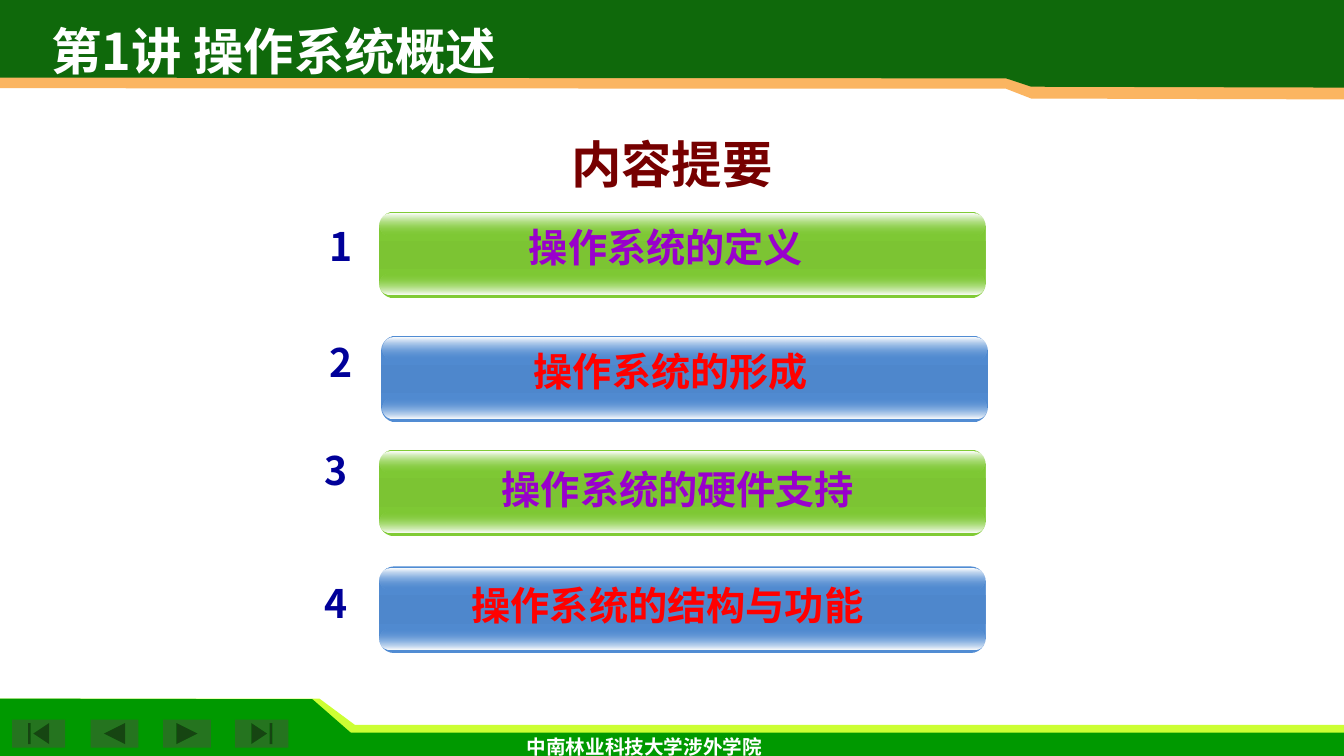
from lxml import etree
from pptx import Presentation
from pptx.dml.color import RGBColor
from pptx.enum.shapes import MSO_SHAPE
from pptx.enum.text import MSO_ANCHOR, MSO_AUTO_SIZE, PP_ALIGN
from pptx.oxml.ns import qn
from pptx.util import Pt

ROUNDED = MSO_SHAPE.ROUNDED_RECTANGLE
CJK_FONT = "Noto Sans CJK SC"
GREEN = ("80CB35", "7CC433")
BLUE = ("518CD3", "4E87CC")
PURPLE, RED = "9900CC", "FF0000"


def write_text(shape, text, box, size, color, font=CJK_FONT, anchor=MSO_ANCHOR.MIDDLE):
    shape.left, shape.top, shape.width, shape.height = [Pt(value) for value in box]
    frame = shape.text_frame
    frame.text = text
    frame.auto_size = MSO_AUTO_SIZE.NONE
    frame.word_wrap = False
    frame.vertical_anchor = anchor
    frame.margin_left = frame.margin_right = frame.margin_top = frame.margin_bottom = 0
    paragraph = frame.paragraphs[0]
    paragraph.alignment = PP_ALIGN.CENTER
    run = paragraph.runs[0]
    run.font.size = Pt(size)
    run.font.bold = True
    run.font.color.rgb = RGBColor.from_string(color)
    run.font.name = font
    east_asian = etree.SubElement(run.font._element, qn("a:ea"))
    east_asian.set("typeface", CJK_FONT)


def add_gradient_bar(group, box, roundness, stops):
    shape = group.shapes.add_shape(ROUNDED, *[Pt(value) for value in box])
    shape.adjustments[0] = roundness
    shape.shadow.inherit = False
    shape.line.fill.background()
    shape.fill.gradient()
    shape.fill.gradient_angle = 270
    stop_list = shape._element.spPr.find(qn("a:gradFill")).find(qn("a:gsLst"))
    for old_stop in list(stop_list):
        stop_list.remove(old_stop)
    for position, color, opacity in stops:
        stop = etree.SubElement(stop_list, qn("a:gs"), pos=str(position * 1000))
        rgb = etree.SubElement(stop, qn("a:srgbClr"), val=color)
        if opacity < 100:
            etree.SubElement(rgb, qn("a:alpha"), val=str(opacity * 1000))


presentation = Presentation()
presentation.slide_width, presentation.slide_height = Pt(960), Pt(540)
slide = presentation.slides.add_slide(presentation.slide_layouts[5])
shapes = slide.shapes

# Header and footer bands
bands = [
    ("CCFF33", [(0, 538.5), (960, 538.5), (960, 517.7), (253.4, 517.7), (228.2, 499), (0, 499)]),
    ("009900", [(0, 540), (960, 540), (960, 523.4), (250.6, 523.4), (223.2, 499.5), (0, 499)]),
    ("FBB561", [(960, 3), (0, 3), (0, 63), (718.6, 63.4), (736.6, 70.4), (960, 71)]),
    ("0F690B", [(960, 0), (0, 0), (0, 55.5), (718.6, 56), (736.6, 62), (960, 62.6)]),
]
for color, points in bands:
    corners = [(Pt(x), Pt(y)) for x, y in points]
    builder = shapes.build_freeform(*corners[0])
    builder.add_line_segments(corners[1:], close=True)
    band = builder.convert_to_shape()
    band.shadow.inherit = False
    band.fill.solid()
    band.fill.fore_color.rgb = RGBColor.from_string(color)
    band.line.fill.background()

# Navigation buttons
buttons = [
    (MSO_SHAPE.ACTION_BUTTON_BEGINNING, 8.6, 38),
    (MSO_SHAPE.ACTION_BUTTON_BACK_OR_PREVIOUS, 64.8, 34),
    (MSO_SHAPE.ACTION_BUTTON_FORWARD_OR_NEXT, 116.6, 34),
    (MSO_SHAPE.ACTION_BUTTON_END, 168, 38),
]
for kind, left, width in buttons:
    button = shapes.add_shape(kind, Pt(left), Pt(514), Pt(width), Pt(20))
    button.shadow.inherit = False
    button.fill.solid()
    button.fill.fore_color.rgb = RGBColor.from_string("25741F")
    button.line.fill.background()

# Footer, title above the header band, and heading
write_text(shapes.add_textbox(0, 0, 0, 0), "中南林业科技大学涉外学院",
           (368.3, 521.3, 184, 24.5), 14, "FFFFFF", "Arial")
title = shapes.title
shapes._spTree.append(title._element)
write_text(title, "第1讲 操作系统概述", (5.5, 14.4, 380, 52), 36, "FFFFFF", anchor=MSO_ANCHOR.TOP)
write_text(shapes.add_textbox(0, 0, 0, 0), "内容提要",
           (400, 95, 160, 52), 36, "760000", anchor=MSO_ANCHOR.TOP)

# Agenda: text, colours, bar left and top, label centre and top, number left and top
agenda = [
    ("操作系统的定义", GREEN, PURPLE, 270.7, 151.2, 475.7, 156.2, 228.2, 154.8),
    ("操作系统的形成", BLUE, RED, 272.2, 239.8, 479.2, 244.3, 228.2, 237.8),
    ("操作系统的硬件支持", GREEN, PURPLE, 270.7, 321.1, 484.3, 328.8, 224.6, 314.8),
    ("操作系统的结构与功能", BLUE, RED, 270.7, 404.6, 476.8, 411.3, 224.6, 410.3),
]
for number, item in enumerate(agenda, start=1):
    text, (edge, middle), color, left, top, center, text_top, number_left, number_top = item
    group = shapes.add_group_shape()
    add_gradient_bar(group, (left, top, 433.4, 61.9), 0.175,
                     [(0, edge, 100), (50, middle, 100), (100, edge, 100)])
    add_gradient_bar(group, (left + 0.7, top + 44.3, 432, 15.1), 0.5,
                     [(0, edge, 0), (100, "FFFFFF", 100)])
    add_gradient_bar(group, (left + 0.7, top + 1.6, 432, 15.1), 0.5,
                     [(0, "FFFFFF", 100), (100, edge, 0)])
    write_text(shapes.add_textbox(0, 0, 0, 0), text,
               (center - 195, text_top, 390, 41), 28, color, "Arial")
    write_text(shapes.add_textbox(0, 0, 0, 0), str(number),
               (number_left, number_top, 31, 41), 28, "000099")

presentation.save("out.pptx")
